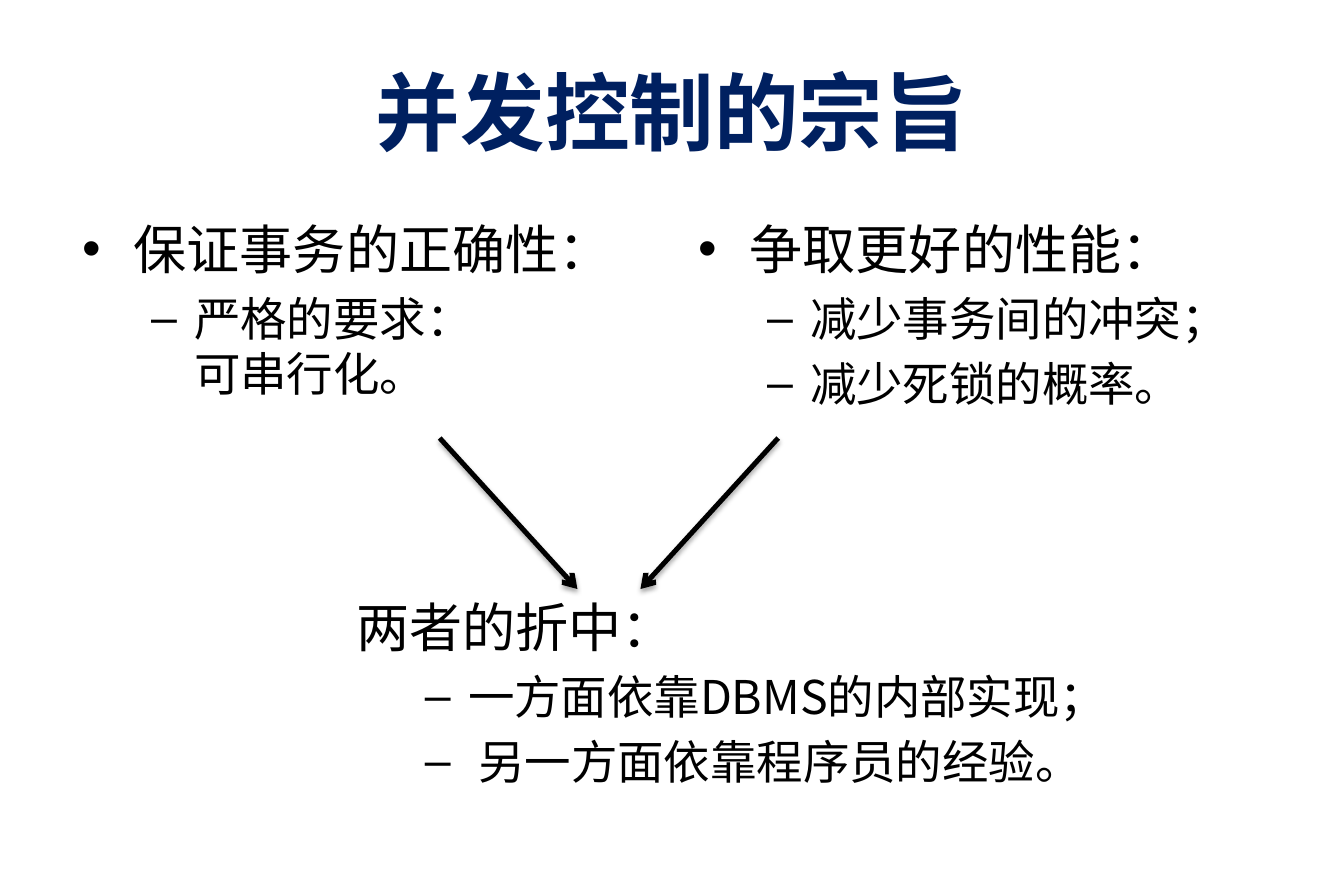
from lxml.etree import SubElement
from pptx import Presentation
from pptx.dml.color import RGBColor
from pptx.enum.shapes import MSO_CONNECTOR
from pptx.enum.text import MSO_ANCHOR, PP_ALIGN
from pptx.oxml import parse_xml
from pptx.oxml.ns import nsdecls, qn
from pptx.util import Pt

FONT = "Noto Sans CJK SC"
BLACK = "000000"


def color(hex_code):
    """Turn a hex string into a colour."""
    return RGBColor.from_string(hex_code)


def add_text(lines, left, top, width, height, inset=(9, 4.5), size=32, fill=BLACK,
             bold=False, align=PP_ALIGN.LEFT, anchor=MSO_ANCHOR.TOP):
    """Add a text box; each line is (text, bullet), and dashes mark the second level."""
    frame = slide.shapes.add_textbox(Pt(left), Pt(top), Pt(width), Pt(height)).text_frame
    frame.word_wrap = True
    frame.vertical_anchor = anchor
    frame.margin_left = frame.margin_right = Pt(inset[0])
    frame.margin_top = frame.margin_bottom = Pt(inset[1])
    for number, (text, bullet) in enumerate(lines):
        paragraph = frame.add_paragraph() if number else frame.paragraphs[0]
        paragraph.text = text
        paragraph.alignment = align
        line_size = 28 if bullet == "–" else size
        if bullet:
            margin, hanging = (67.5, 26) if bullet == "–" else (31, 31)
            paragraph.level = 1 if bullet == "–" else 0
            paragraph.space_before = Pt(line_size * 0.2)
            properties = paragraph._p.get_or_add_pPr()
            properties.set("marL", str(Pt(margin)))
            properties.set("indent", str(-Pt(hanging)))
            SubElement(properties, qn("a:buFont"), typeface="Arial")
            SubElement(properties, qn("a:buChar"), char=bullet)
        for run in paragraph.runs:
            run.font.size = Pt(line_size)
            run.font.bold = bold
            run.font.name = FONT
            run.font.color.rgb = color(fill)
            SubElement(run._r.get_or_add_rPr(), qn("a:ea"), typeface=FONT)


presentation = Presentation()
presentation.slide_width, presentation.slide_height = Pt(810), Pt(540)
slide = presentation.slides.add_slide(presentation.slide_layouts[6])

add_text([("并发控制的宗旨", "")], 40.5, 21.6, 729, 90, size=51, fill="002060",
         bold=True, align=PP_ALIGN.CENTER, anchor=MSO_ANCHOR.MIDDLE)

goals = [
    [("保证事务的正确性：", "•"), ("严格的要求：\v可串行化。", "–")],
    [("争取更好的性能：", "•"), ("减少事务间的冲突；", "–"), ("减少死锁的概率。", "–")],
]
for column, goal in enumerate(goals):
    add_text(goal, 40.5 + column * 371.25, 126, 358, 356.5)

compromise = [("两者的折中：", ""), ("一方面依靠DBMS的内部实现；", "–"),
              (" 另一方面依靠程序员的经验。", "–")]
add_text(compromise, 207.5, 355, 477.5, 127.5, inset=(7.2, 3.6))

for start, end in [(265, 348), (469, 386)]:
    arrow = slide.shapes.add_connector(MSO_CONNECTOR.STRAIGHT, Pt(start), Pt(264), Pt(end), Pt(355))
    arrow.line.color.rgb = color(BLACK)
    arrow.line.width = Pt(3)
    SubElement(arrow.line._get_or_add_ln(), qn("a:tailEnd"), type="arrow")
    arrow._element.spPr.append(parse_xml(
        f'<a:effectLst {nsdecls("a")}>'
        f'<a:outerShdw blurRad="{Pt(3.1)}" dist="{Pt(1.8)}" dir="5400000" rotWithShape="0">'
        f'<a:srgbClr val="{BLACK}"><a:alpha val="35000"/></a:srgbClr>'
        '</a:outerShdw></a:effectLst>'))

presentation.save("out.pptx")
